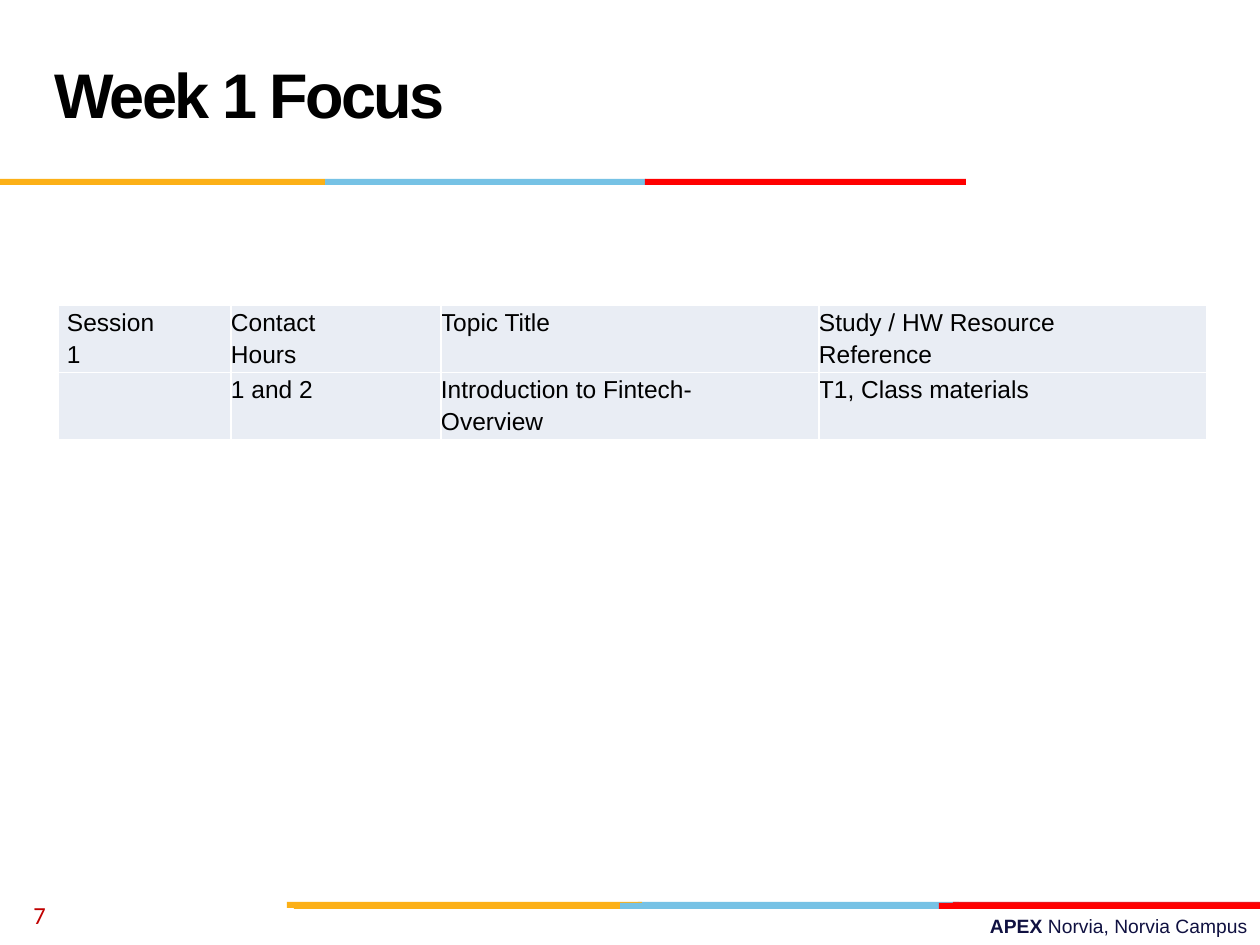
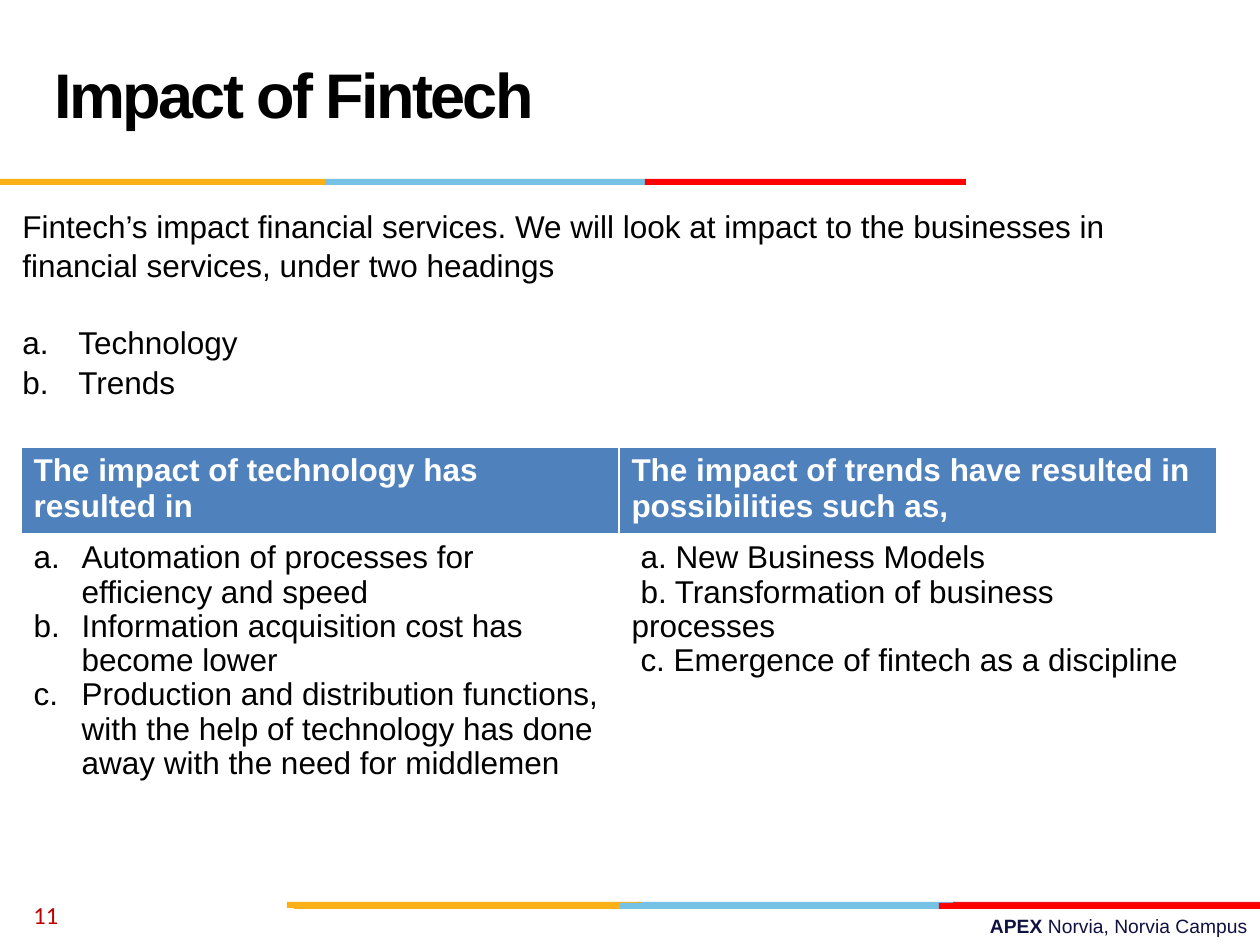
"""Build two course slides that share a title, striped bands and a footer."""
import dataclasses
import typing

import pptx
import pptx.dml.color
import pptx.enum.shapes
import pptx.enum.text
import pptx.oxml
import pptx.oxml.ns
import pptx.util

RGBColor = pptx.dml.color.RGBColor
Align = pptx.enum.text.PP_ALIGN
Anchor = pptx.enum.text.MSO_ANCHOR

EMU_PER_PX = 914400 / 126
BLACK = RGBColor(0x00, 0x00, 0x00)
WHITE = RGBColor(0xFF, 0xFF, 0xFF)
AMBER = RGBColor(0xFC, 0xB0, 0x17)
SKY = RGBColor(0x76, 0xC2, 0xE5)
RED = RGBColor(0xFF, 0x00, 0x00)
CRIMSON = RGBColor(0xE3, 0x1C, 0x24)
NUMBER_RED = RGBColor(0xC0, 0x00, 0x00)
NAVY = RGBColor(0x10, 0x11, 0x41)
PALE_BLUE = RGBColor(0xE9, 0xED, 0xF4)
HEADER_BLUE = RGBColor(0x4F, 0x81, 0xBD)
STRIPE_HEIGHT = 6


@dataclasses.dataclass(frozen=True)
class Box:
    left: int
    top: int
    width: int
    height: int


@dataclasses.dataclass(frozen=True)
class Stripe:
    left: int
    top: int
    width: int
    color: RGBColor


@dataclasses.dataclass(frozen=True)
class Style:
    size: int
    color: RGBColor = BLACK
    bold: bool = False
    name: str = "Arial"
    tracking: int = 0


@dataclasses.dataclass(frozen=True)
class Line:
    runs: tuple[tuple[str, Style], ...]
    format: dict[str, typing.Any] = dataclasses.field(default_factory=dict)
    margin: int = 0
    indent: int = 0
    lettered: bool = False


@dataclasses.dataclass(frozen=True)
class Cell:
    lines: tuple[Line, ...]
    fill: RGBColor | None = None
    format: dict[str, typing.Any] = dataclasses.field(default_factory=dict)
    bottom_border: int = 1


STRIPES = (
    Stripe(638, 902, 321, SKY),
    Stripe(953, 902, 307, CRIMSON),
    Stripe(287, 902, 355, AMBER),
    Stripe(620, 903, 321, SKY),
    Stripe(294, 903, 326, AMBER),
    Stripe(939, 903, 321, RED),
    Stripe(325, 179, 321, SKY),
    Stripe(0, 179, 325, AMBER),
    Stripe(645, 179, 321, RED),
)
TITLE = Style(36, bold=True, tracking=-150)
BODY = Style(18)
HEADING = Style(18, WHITE, bold=True)
SCHEDULE = Style(14)
NUMBER = Style(14, NUMBER_RED, name="Calibri")
FOOTER = Style(11, NAVY)
FOOTER_BOLD = Style(11, NAVY, bold=True)


def px(length: int) -> pptx.util.Emu:
    """Turn pixels into EMU."""
    return pptx.util.Emu(round(length * EMU_PER_PX))


def place(box: Box) -> tuple[pptx.util.Emu, ...]:
    """Return the position and size of a box in EMU."""
    return tuple(px(length) for length in dataclasses.astuple(box))


def apply(target: typing.Any, values: dict[str, typing.Any]) -> None:
    """Set each named attribute on the target."""
    for name, value in values.items():
        setattr(target, name, value)


def write(frame: typing.Any, lines: tuple[Line, ...]) -> None:
    """Write the lines as paragraphs of a text frame."""
    for position, line in enumerate(lines):
        paragraph = frame.add_paragraph() if position else frame.paragraphs[0]
        apply(paragraph, line.format)
        properties = paragraph._p.get_or_add_pPr()
        properties.set("marL", str(px(line.margin)))
        properties.set("indent", str(px(line.indent)))
        if line.lettered:
            bullet = pptx.oxml.parse_xml(
                f'<a:buAutoNum {pptx.oxml.ns.nsdecls("a")} type="alphaLcPeriod"/>')
            properties.append(bullet)
        for text, style in line.runs:
            run = paragraph.add_run()
            run.text = text
            apply(run.font, {"size": pptx.util.Pt(style.size),
                             "name": style.name, "bold": style.bold})
            run.font.color.rgb = style.color
            if style.tracking:
                run._r.get_or_add_rPr().set("spc", str(style.tracking))


def add_text(slide: typing.Any, box: Box, lines: tuple[Line, ...],
             anchor: typing.Any = Anchor.TOP) -> None:
    """Add a wrapping text box."""
    frame = slide.shapes.add_textbox(*place(box)).text_frame
    apply(frame, {"word_wrap": True, "vertical_anchor": anchor})
    write(frame, lines)


def add_stripe(slide: typing.Any, stripe: Stripe) -> None:
    """Add one coloured stripe of a band."""
    box = Box(stripe.left, stripe.top, stripe.width, STRIPE_HEIGHT)
    shape = slide.shapes.add_shape(
        pptx.enum.shapes.MSO_SHAPE.RECTANGLE, *place(box))
    shape.shadow.inherit = False
    shape.fill.solid()
    shape.fill.fore_color.rgb = stripe.color
    shape.line.fill.background()


def add_borders(table_cell: typing.Any, bottom: int) -> None:
    """Draw white lines on all sides of a cell."""
    properties = table_cell._tc.get_or_add_tcPr()
    widths = {"lnL": 1, "lnR": 1, "lnT": 1, "lnB": bottom}
    for position, (tag, width) in enumerate(widths.items()):
        border = pptx.oxml.parse_xml(
            f'<a:{tag} {pptx.oxml.ns.nsdecls("a")} w="{pptx.util.Pt(width)}">'
            f'<a:solidFill><a:srgbClr val="{WHITE}"/></a:solidFill></a:{tag}>')
        properties.insert(position, border)


def add_table(slide: typing.Any, left: int, top: int, widths: tuple[int, ...],
              heights: tuple[int, ...], rows: list[list[Cell]]) -> None:
    """Add a table with explicit fills and borders."""
    box = Box(left, top, sum(widths), sum(heights))
    table = slide.shapes.add_table(len(rows), len(widths), *place(box)).table
    apply(table, {"first_row": False, "horz_banding": False})
    for column, width in zip(table.columns, widths):
        column.width = px(width)
    for row, height, cells in zip(table.rows, heights, rows):
        row.height = px(height)
        for table_cell, cell in zip(row.cells, cells):
            apply(table_cell, cell.format)
            if cell.fill is None:
                table_cell.fill.background()
            else:
                table_cell.fill.solid()
                table_cell.fill.fore_color.rgb = cell.fill
            add_borders(table_cell, cell.bottom_border)
            write(table_cell.text_frame, cell.lines)


def add_base(presentation: typing.Any, title: str, number: int) -> typing.Any:
    """Add a slide with the shared bands, footer, title and number."""
    slide = presentation.slides.add_slide(presentation.slide_layouts[6])
    footer = (("APEX ", FOOTER_BOLD), ("Norvia, Norvia Campus", FOOTER))
    add_text(slide, Box(451, 908, 809, 37),
             (Line(footer, {"alignment": Align.RIGHT}),))
    for stripe in STRIPES:
        add_stripe(slide, stripe)
    add_text(slide, Box(42, 21, 872, 158),
             (Line(((title, TITLE),), {"line_spacing": pptx.util.Pt(36)}),),
             Anchor.MIDDLE)
    add_text(slide, Box(21, 890, 294, 50),
             (Line(((str(number), NUMBER),)),), Anchor.MIDDLE)
    return slide


def schedule_cell(text: str, left_margin: int) -> Cell:
    """Return a schedule cell, empty when there is no text."""
    margins = {"margin_left": px(left_margin), "margin_right": px(66),
               "margin_top": 0, "margin_bottom": 0}
    runs = ((text, SCHEDULE),) if text else ()
    return Cell((Line(runs, {"line_spacing": 1.15}),), PALE_BLUE, margins)


def build_week_focus(presentation: typing.Any) -> None:
    """Add the slide with the session schedule."""
    slide = add_base(presentation, "Week 1 Focus", 7)
    schedule = (
        ("Session 1", "Contact Hours", "Topic Title",
         "Study / HW Resource Reference"),
        ("", "1 and 2", "Introduction to Fintech-Overview",
         "T1, Class materials"),
    )
    rows = [[schedule_cell(text, 0 if column else 9)
             for column, text in enumerate(texts)] for texts in schedule]
    add_table(slide, 58, 305, (173, 210, 378, 388), (67, 67), rows)


def build_impact(presentation: typing.Any) -> None:
    """Add the slide on the impact of fintech."""
    slide = add_base(presentation, "Impact of Fintech", 11)
    introduction = ("Fintech’s impact financial services. We will look at impact "
                    "to the businesses in financial services, under two headings")
    spacing = {"line_spacing": 1.04}
    topics = tuple(
        Line(((topic, BODY),), spacing | {"space_before": px(gap)}, 56, -56, True)
        for topic, gap in (("Technology", 38), ("Trends", 0)))
    add_text(slide, Box(10, 199, 1207, 204),
             (Line(((introduction, BODY),), spacing),) + topics)

    headings = ("The impact of technology has resulted in",
                "The impact of trends have resulted in possibilities such as,")
    technology = (
        "Automation of processes for efficiency and speed",
        "Information acquisition cost has become lower",
        "Production and distribution functions, with the help of technology "
        "has done away with the need for middlemen",
    )
    trends = ("a. New Business Models",
              "b. Transformation of business processes",
              "c. Emergence of fintech as a discipline")
    tight = {"line_spacing": 0.97}
    header = [Cell((Line(((text, HEADING),)),), HEADER_BLUE, bottom_border=3)
              for text in headings]
    details = [
        Cell(tuple(Line(((text, BODY),), tight, 48, -48, True)
                   for text in technology)),
        Cell(tuple(Line(((text, BODY),), tight, indent=9) for text in trends)),
    ]
    add_table(slide, 21, 447, (598, 598), (86, 259), [header, details])


def main() -> None:
    """Build and save the presentation."""
    presentation = pptx.Presentation()
    apply(presentation, {"slide_width": px(1260), "slide_height": px(945)})
    build_week_focus(presentation)
    build_impact(presentation)
    presentation.save("out.pptx")


if __name__ == "__main__":
    main()
